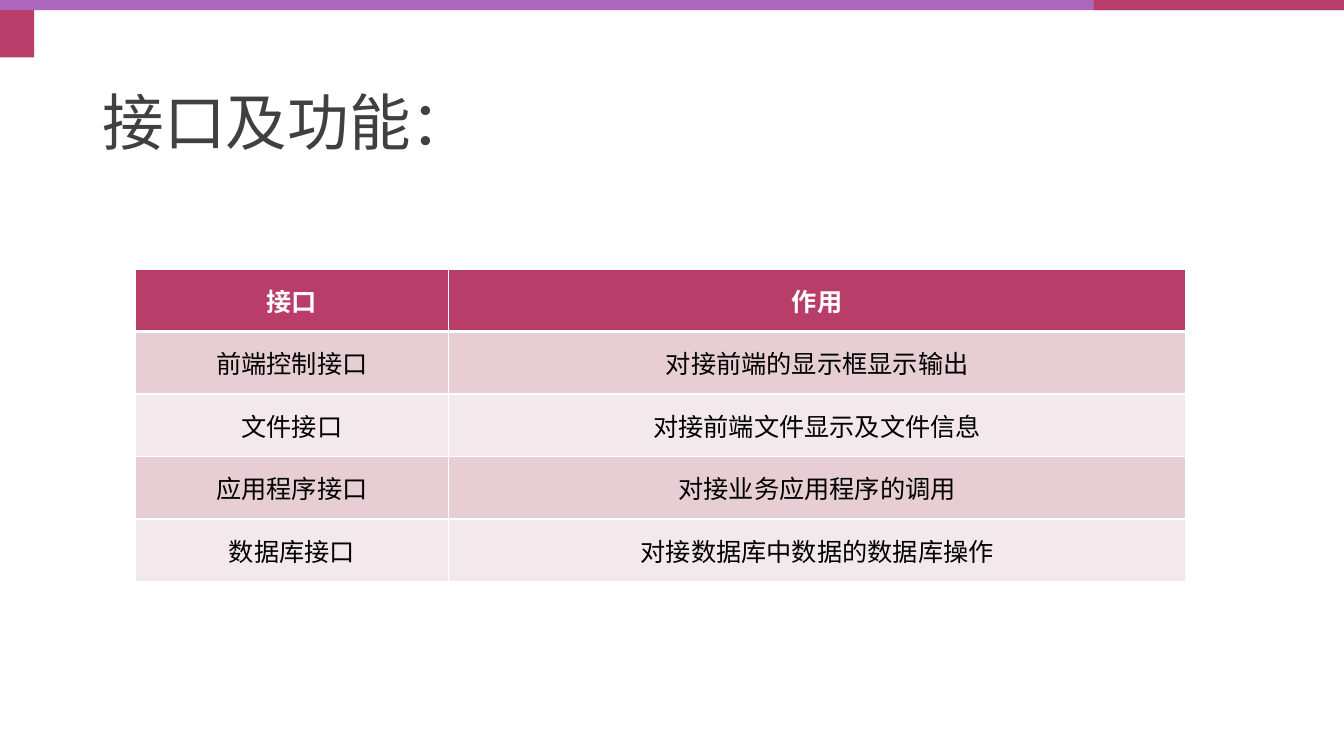
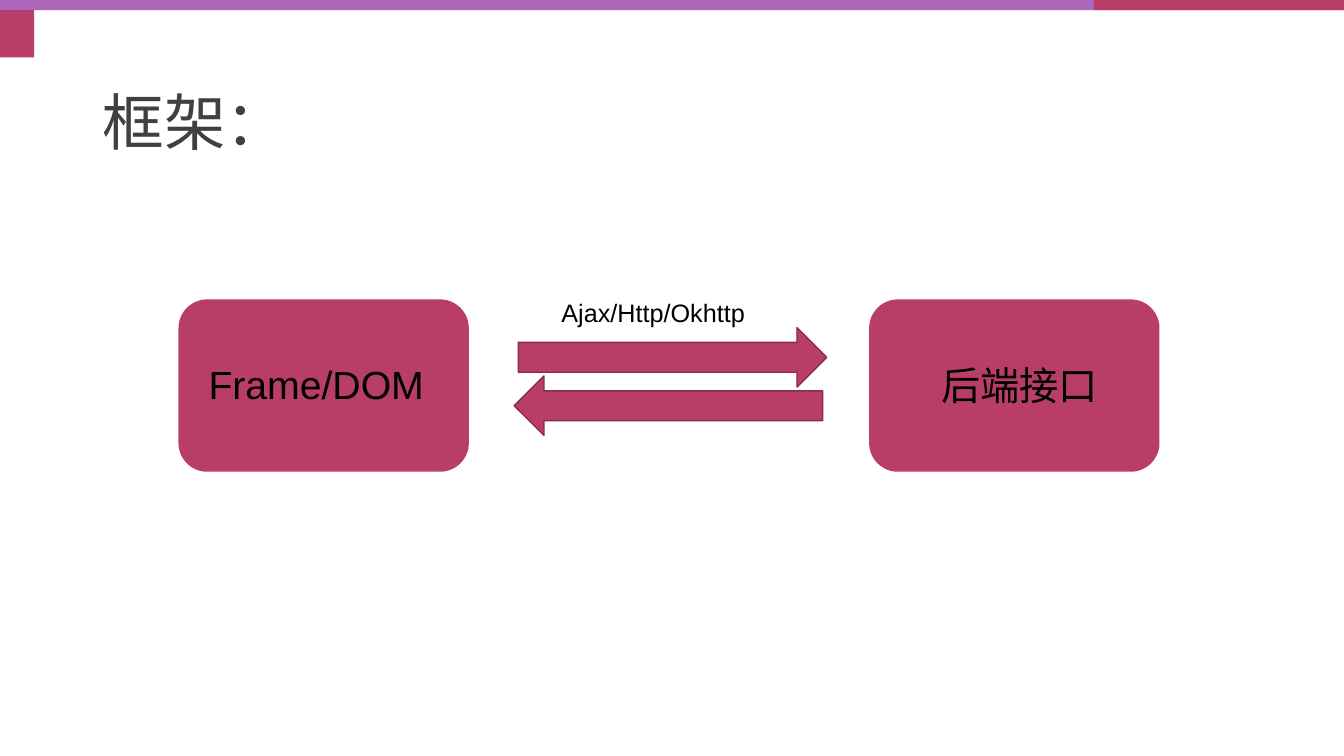
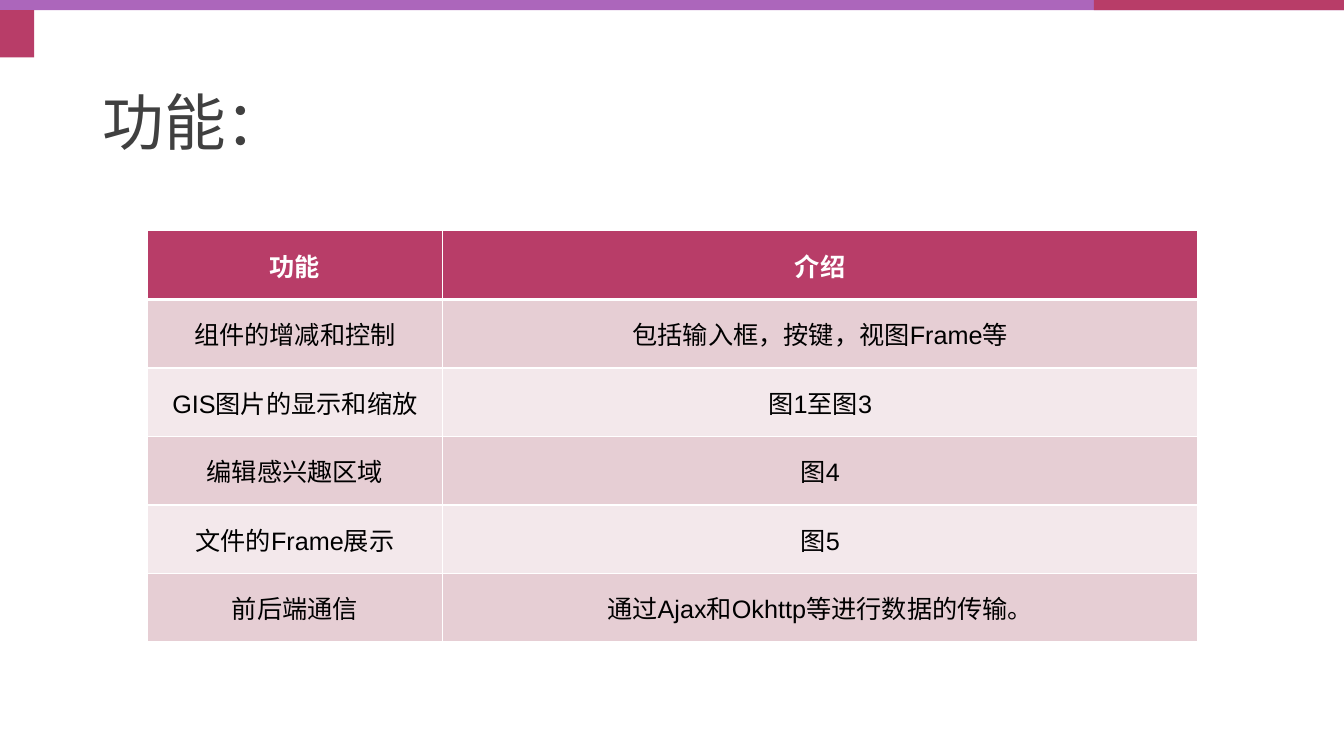
"""Build three slides on interfaces, framework and functions."""
from lxml.etree import SubElement
from pptx import Presentation
from pptx.dml.color import RGBColor
from pptx.enum.shapes import MSO_SHAPE
from pptx.enum.text import MSO_ANCHOR, PP_ALIGN
from pptx.oxml.ns import qn
from pptx.util import Inches, Pt

COLORS = {"purple": "AC66BB", "rose": "B83D68", "edge": "882D4D",
          "title": "404040", "text": "000000", "white": "FFFFFF",
          "band": "E6CED4", "pale": "F3E8EB"}
LATIN, HAN = "Arial", "Noto Sans CJK SC"
WIDTH = 13.33


def color(name):
    return RGBColor.from_string(COLORS[name])


def write(frame, text, size=18, ink="text", bold=False, align=PP_ALIGN.LEFT,
          font=LATIN, space=None):
    para = frame.paragraphs[0]
    para.alignment = align
    if space:
        para.line_spacing = space
    run = para.add_run()
    run.text = text
    run.font.size, run.font.bold = Pt(size), bold
    run.font.color.rgb = color(ink)
    run.font.name = font
    SubElement(run.font._element, qn("a:ea"), typeface=HAN)


def label(slide, text, box, anchor=MSO_ANCHOR.TOP, **style):
    frame = slide.shapes.add_textbox(*map(Inches, box)).text_frame
    frame.word_wrap = True
    frame.vertical_anchor = anchor
    write(frame, text, **style)


def shape(slide, kind, box, fill="rose", edge=None, turn=0):
    item = slide.shapes.add_shape(kind, *map(Inches, box))
    item.shadow.inherit = False
    item.fill.solid()
    item.fill.fore_color.rgb = color(fill)
    item.rotation = turn
    if edge:
        item.line.color.rgb = color(edge)
        item.line.width = Pt(1)
    else:
        item.line.fill.background()


def border(cell, **widths):
    props = cell._tc.get_or_add_tcPr()
    for side in "LRTB":
        line = SubElement(props, qn(f"a:ln{side}"), w=str(Pt(widths.get(side, 1))))
        fill = SubElement(line, qn("a:solidFill"))
        SubElement(fill, qn("a:srgbClr"), val=COLORS["white"])


def table(slide, rows, left, top, cols, high, font=LATIN):
    box = (left, top, sum(cols), high * len(rows))
    grid = slide.shapes.add_table(len(rows), len(cols), *map(Inches, box)).table
    for col, wide in zip(grid.columns, cols):
        col.width = Inches(wide)
    for r, row in enumerate(rows):
        grid.rows[r].height = Inches(high)
        head = r == 0
        fill = "rose" if head else "band" if r % 2 else "pale"
        for c, text in enumerate(row):
            cell = grid.cell(r, c)
            cell.vertical_anchor = MSO_ANCHOR.MIDDLE
            border(cell, B=3 if head else 1, T=3 if r == 1 else 1)
            cell.fill.solid()
            cell.fill.fore_color.rgb = color(fill)
            write(cell.text_frame, text, ink="white" if head else "text",
                  bold=head, align=PP_ALIGN.CENTER, font=font)


def page(deck, title, font=LATIN):
    slide = deck.slides.add_slide(deck.slide_layouts[6])
    for box, fill in (((0, 0, WIDTH, 0.1), "purple"),
                      ((10.85, 0, WIDTH - 10.85, 0.1), "rose"),
                      ((0, 0.1, 0.34, 0.47), "rose")):
        shape(slide, MSO_SHAPE.RECTANGLE, box, fill)
    label(slide, title, (0.92, 0.4, 11.5, 1.45), MSO_ANCHOR.MIDDLE,
          size=44, ink="title", font=font, space=1.2)
    return slide


def frame_page(deck):
    slide = page(deck, "框架：")
    for left in (1.77, 8.62):
        shape(slide, MSO_SHAPE.ROUNDED_RECTANGLE, (left, 2.97, 2.88, 1.71))
    for left, top, turn in ((5.14, 3.25, 0), (5.1, 3.73, 180)):
        shape(slide, MSO_SHAPE.RIGHT_ARROW, (left, top, 3.06, 0.59),
              edge="edge", turn=turn)
    label(slide, "Frame/DOM", (1.97, 3.53, 2.47, 0.57), size=28)
    label(slide, "后端接口", (9.24, 3.54, 1.76, 0.57), size=28)
    label(slide, "Ajax/Http/Okhttp", (5.47, 2.9, 2.04, 0.4))


def main():
    deck = Presentation()
    deck.slide_width, deck.slide_height = Inches(WIDTH), Inches(7.5)
    table(page(deck, "接口及功能：", HAN), [
        ("接口", "作用"),
        ("前端控制接口", "对接前端的显示框显示输出"),
        ("文件接口", "对接前端文件显示及文件信息"),
        ("应用程序接口", "对接业务应用程序的调用"),
        ("数据库接口", "对接数据库中数据的数据库操作"),
    ], 1.34, 2.67, (3.11, 7.31), 0.62, HAN)
    frame_page(deck)
    table(page(deck, "功能："), [
        ("功能", "介绍"),
        ("组件的增减和控制", "包括输入框，按键，视图Frame等"),
        ("GIS图片的显示和缩放", "图1至图3"),
        ("编辑感兴趣区域", "图4"),
        ("文件的Frame展示", "图5"),
        ("前后端通信", "通过Ajax和Okhttp等进行数据的传输。"),
    ], 1.46, 2.29, (2.93, 7.49), 0.68)
    deck.save("out.pptx")


if __name__ == "__main__":
    main()
